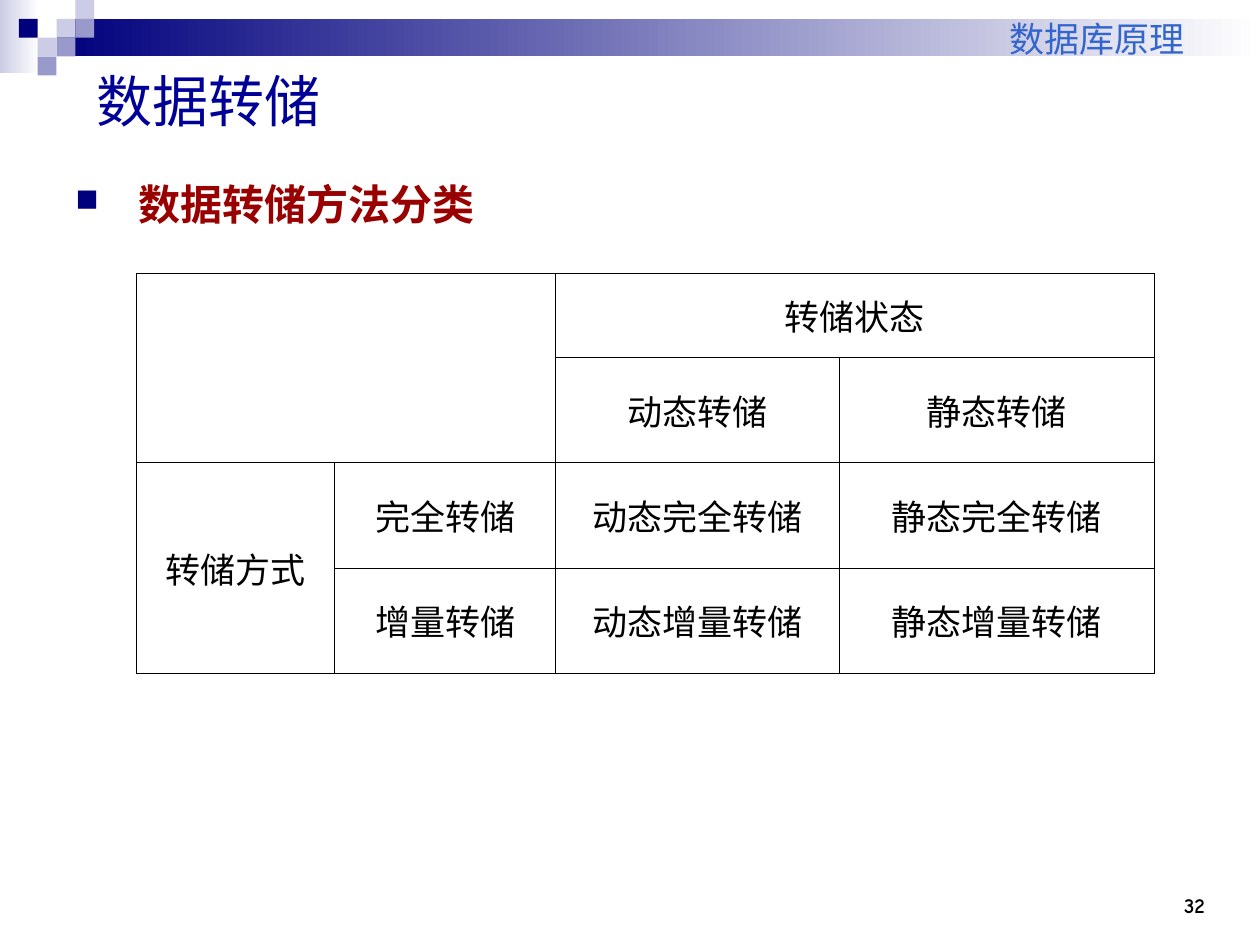
from lxml.etree import SubElement
from pptx import Presentation
from pptx.dml.color import RGBColor as RGB
from pptx.enum.shapes import MSO_SHAPE as Shape
from pptx.enum.text import MSO_ANCHOR as Anchor, PP_ALIGN as Align
from pptx.oxml.ns import qn
from pptx.util import Cm, Pt

HUES = {"navy": "00007D", "pale": "CCCCE6", "lilac": "9999CC", "white": "FFFFFF",
        "black": "000000", "sky": "3366CC", "title": "000099", "red": "990000"}
COMIC, MONO, SANS = "Comic Neue", "DejaVu Sans Mono", "Noto Sans CJK SC"

# left, top, width, height in cm, first colour of a fade to white
FADES = [(0, 0, 0.79, 1.47, "pale"), (1.14, 0.38, 24.26, 0.75, "navy")]
# column, row on the grid of squares, colour
STEP = 0.38
TILES = [(3, 1, "pale"), (4, 0, "pale"), (4, 1, "lilac"), (2, 2, "pale"),
         (1, 1, "navy"), (3, 2, "lilac"), (2, 3, "lilac")]

COLS = [4.01, 4.45, 5.72, 6.35]
ROWS = [1.7, 2.12, 2.12, 2.12]
CELLS = [
    ["", "", "转储状态", ""],
    ["", "", "动态转储", "静态转储"],
    ["转储方式", "完全转储", "动态完全转储", "静态完全转储"],
    ["", "增量转储", "动态增量转储", "静态增量转储"],
]
MERGES = [((0, 0), (1, 1)), ((0, 2), (0, 3)), ((2, 0), (3, 0))]


def hue(name):
    return RGB.from_string(HUES[name])


def style(para, face, size, color, bold=False, align=Align.LEFT):
    para.alignment = align
    font = para.font
    font.size, font.bold, font.name = Pt(size), bold, face
    font.color.rgb = hue(color)
    props = para._p.pPr.find(qn("a:defRPr"))
    SubElement(props, qn("a:ea"), typeface=face)


def block(slide, box):
    shape = slide.shapes.add_shape(Shape.RECTANGLE, *map(Cm, box))
    shape.shadow.inherit = False
    shape.line.fill.background()
    return shape.fill


def label(slide, box, text, anchor):
    frame = slide.shapes.add_textbox(*map(Cm, box)).text_frame
    frame.word_wrap = True
    frame.vertical_anchor = anchor
    frame.text = text
    return frame


def bullet(para):
    props = para._p.get_or_add_pPr()
    props.set("marL", str(Cm(1.27)))
    props.set("indent", str(-Cm(1.27)))
    tint = SubElement(props, qn("a:buClr"))
    SubElement(tint, qn("a:srgbClr"), val=HUES["navy"])
    SubElement(props, qn("a:buSzPct"), val="75000")
    SubElement(props, qn("a:buChar"), char="■")


def border(cell):
    props = cell._tc.get_or_add_tcPr()
    for side in ("lnL", "lnR", "lnT", "lnB"):
        line = SubElement(props, qn(f"a:{side}"), w=str(Pt(0.45)))
        fill = SubElement(line, qn("a:solidFill"))
        SubElement(fill, qn("a:srgbClr"), val=HUES["black"])


def banner(slide):
    for *box, color in FADES:
        fill = block(slide, box)
        fill.gradient()
        fill.gradient_angle = 0
        for stop, name in zip(fill.gradient_stops, (color, "white")):
            stop.color.rgb = hue(name)
    for col, row, color in TILES:
        fill = block(slide, (col * STEP, row * STEP, STEP, STEP))
        fill.solid()
        fill.fore_color.rgb = hue(color)


def texts(slide):
    page = label(slide, (22.43, 17.35, 2.11, 1.27), "32", Anchor.BOTTOM)
    style(page.paragraphs[0], COMIC, 12, "black", True, Align.RIGHT)

    head = label(slide, (9.73, 0, 15.04, 1.32), "数据库原理", Anchor.BOTTOM)
    head.margin_right = Cm(0.89)
    style(head.paragraphs[0], COMIC, 20, "sky", align=Align.RIGHT)

    title = label(slide, (1.7, 1.07, 22.86, 1.9), "数据转储", Anchor.MIDDLE)
    style(title.paragraphs[0], COMIC, 32, "title")

    body = label(slide, (1.27, 2.97, 23.29, 14.81), "数据转储方法分类", Anchor.TOP)
    para = body.paragraphs[0]
    para.line_spacing = 1.5
    bullet(para)
    style(para, MONO, 24, "red", True)


def grid(slide):
    frame = slide.shapes.add_table(len(ROWS), len(COLS), Cm(2.74), Cm(5.51),
                                   Cm(sum(COLS)), Cm(sum(ROWS)))
    table = frame.table
    table.first_row = table.horz_banding = False
    for col, width in zip(table.columns, COLS):
        col.width = Cm(width)
    for row, height, words in zip(table.rows, ROWS, CELLS):
        row.height = Cm(height)
        for cell, word in zip(row.cells, words):
            cell.text = word
            cell.vertical_anchor = Anchor.MIDDLE
            border(cell)
            cell.fill.background()
            style(cell.text_frame.paragraphs[0], SANS, 20, "black", align=Align.CENTER)
    for first, last in MERGES:
        table.cell(*first).merge(table.cell(*last))


def main():
    deck = Presentation()
    deck.slide_width, deck.slide_height = Cm(25.4), Cm(19.05)
    slide = deck.slides.add_slide(deck.slide_layouts[6])
    banner(slide)
    texts(slide)
    grid(slide)
    deck.save("out.pptx")


if __name__ == "__main__":
    main()
